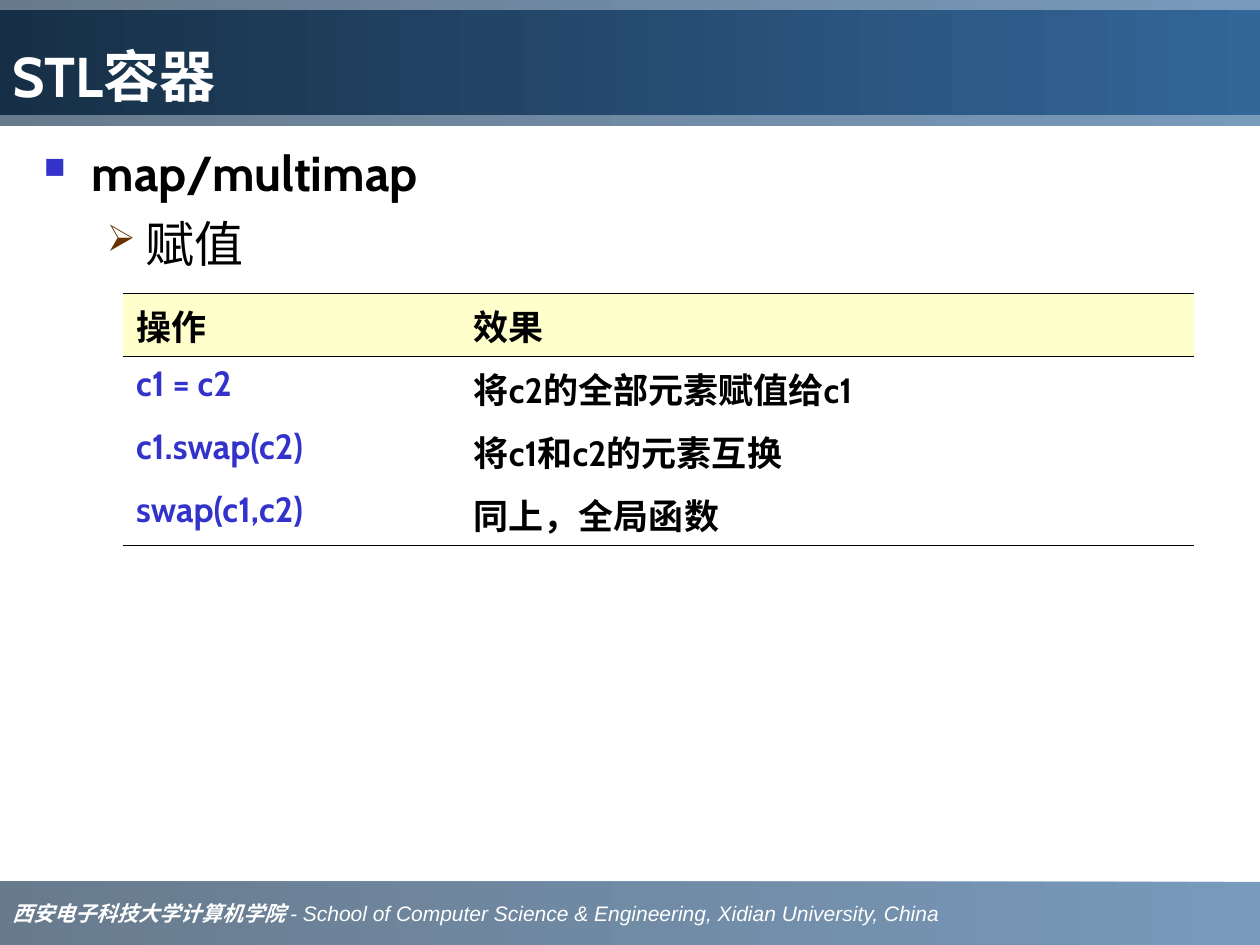
from lxml.etree import SubElement
from pptx import Presentation
from pptx.dml.color import RGBColor
from pptx.enum.shapes import MSO_SHAPE
from pptx.enum.text import MSO_ANCHOR, PP_ALIGN
from pptx.oxml.ns import qn
from pptx.util import Inches, Pt

TITLE = "STL容器"
FOOTER = [("西安电子科技大学计算机学院 ", "Times New Roman", True),
          ("- School of Computer Science & Engineering, Xidian University, China", "Arial", False)]
OUTLINE = [
    {"text": "map/multimap", "bold": True, "left": 0.38, "hang": 0.38,
     "bullet": "■", "color": "3333CC", "percent": 60},
    {"text": "赋值", "bold": False, "left": 0.81, "hang": 0.31,
     "bullet": "➢", "color": "663300", "percent": 75},
]
OPERATIONS = [
    ("操作", "效果"),
    ("c1 = c2", "将c2的全部元素赋值给c1"),
    ("c1.swap(c2)", "将c1和c2的元素互换"),
    ("swap(c1,c2)", "同上，全局函数"),
]
COLUMN_WIDTHS = (2.68, 5.82)
ROW_HEIGHT = 0.5
PLAIN_TABLE_STYLE = "{2D5ABB26-0587-4C30-8999-92F81FD0307C}"
BLACK, WHITE, BLUE, CREAM = "000000", "FFFFFF", "3333CC", "FFFFCC"


def rgb(value):
    return RGBColor.from_string(value)


def style(span, size, color, bold, name="Cabin", italic=False):
    font = span.font
    font.size, font.bold, font.italic, font.name = Pt(size), bold, italic, name
    font.color.rgb = rgb(color)


def add_band(page, top, height, dark, opacity=100):
    band = page.shapes.add_shape(
        MSO_SHAPE.RECTANGLE, 0, Inches(top), Inches(10), Inches(height))
    band.shadow.inherit = False
    band.line.fill.background()
    band.fill.gradient()
    band.fill.gradient_angle = 180
    for stop, color in zip(band.fill.gradient_stops, ("336699", dark)):
        stop.color.rgb = rgb(color)
    if opacity < 100:
        for color in band.fill._xPr.iter(qn("a:srgbClr")):
            SubElement(color, qn("a:alpha"), val=str(opacity * 1000))
    band.text_frame.word_wrap = True
    band.text_frame.paragraphs[0].alignment = PP_ALIGN.LEFT
    return band


def add_bullet(para, item):
    properties = para._p.get_or_add_pPr()
    properties.set("marL", str(Inches(item["left"])))
    properties.set("indent", str(-Inches(item["hang"])))
    color = SubElement(properties, qn("a:buClr"))
    SubElement(color, qn("a:srgbClr"), val=item["color"])
    SubElement(properties, qn("a:buSzPct"), val=str(item["percent"] * 1000))
    SubElement(properties, qn("a:buChar"), char=item["bullet"])


def add_border(cell, side, width):
    properties = cell._tc.get_or_add_tcPr()
    line = SubElement(properties, qn(f"a:{side}"), w=str(Pt(width)))
    SubElement(SubElement(line, qn("a:solidFill")), qn("a:srgbClr"), val=BLACK)


def add_outline(page):
    box = page.shapes.add_textbox(Inches(0.25), Inches(1.08), Inches(9.42), Inches(5.83))
    frame = box.text_frame
    frame.word_wrap = True
    frame.text = "\n".join(item["text"] for item in OUTLINE)
    for index, (para, item) in enumerate(zip(frame.paragraphs, OUTLINE)):
        add_bullet(para, item)
        if index:
            para.space_before = Pt(7)
        style(para.runs[0], 28, BLACK, item["bold"])


def add_operations(page):
    last = len(OPERATIONS) - 1
    table_frame = page.shapes.add_table(
        len(OPERATIONS), len(COLUMN_WIDTHS), Inches(0.98), Inches(2.33),
        Inches(sum(COLUMN_WIDTHS)), Inches(ROW_HEIGHT * len(OPERATIONS)))
    table = table_frame.table
    table.horz_banding = False
    table._tbl.tblPr.find(qn("a:tableStyleId")).text = PLAIN_TABLE_STYLE
    for column, width in zip(table.columns, COLUMN_WIDTHS):
        column.width = Inches(width)
    for row, texts in enumerate(OPERATIONS):
        for column, text in enumerate(texts):
            cell = table.cell(row, column)
            cell.text_frame.text = text
            color = BLUE if row and not column else BLACK
            style(cell.text_frame.paragraphs[0].runs[0], 20, color, True)
            if row == 0:
                add_border(cell, "lnT", 1.08)
                add_border(cell, "lnB", 0.75)
                cell.fill.solid()
                cell.fill.fore_color.rgb = rgb(CREAM)
            else:
                if row == last:
                    add_border(cell, "lnB", 1.08)
                cell.fill.background()


def main():
    """Build the slide on map assignment operations."""
    deck = Presentation()
    deck.slide_width, deck.slide_height = Inches(10), Inches(7.5)
    page = deck.slides.add_slide(deck.slide_layouts[6])

    footer = add_band(page, 7, 0.5, "1B3753", 66)
    footer.text_frame.vertical_anchor = MSO_ANCHOR.MIDDLE
    for text, name, bold in FOOTER:
        span = footer.text_frame.paragraphs[0].add_run()
        span.text = text
        style(span, 12, WHITE, bold, name, italic=True)

    add_band(page, 0, 1, "1B3753", 66)
    title = add_band(page, 0.08, 0.83, "172F46")
    title.text_frame.vertical_anchor = MSO_ANCHOR.BOTTOM
    title.text_frame.paragraphs[0].text = TITLE
    style(title.text_frame.paragraphs[0].runs[0], 32, WHITE, True)

    add_outline(page)
    add_operations(page)
    deck.save("out.pptx")


if __name__ == "__main__":
    main()
